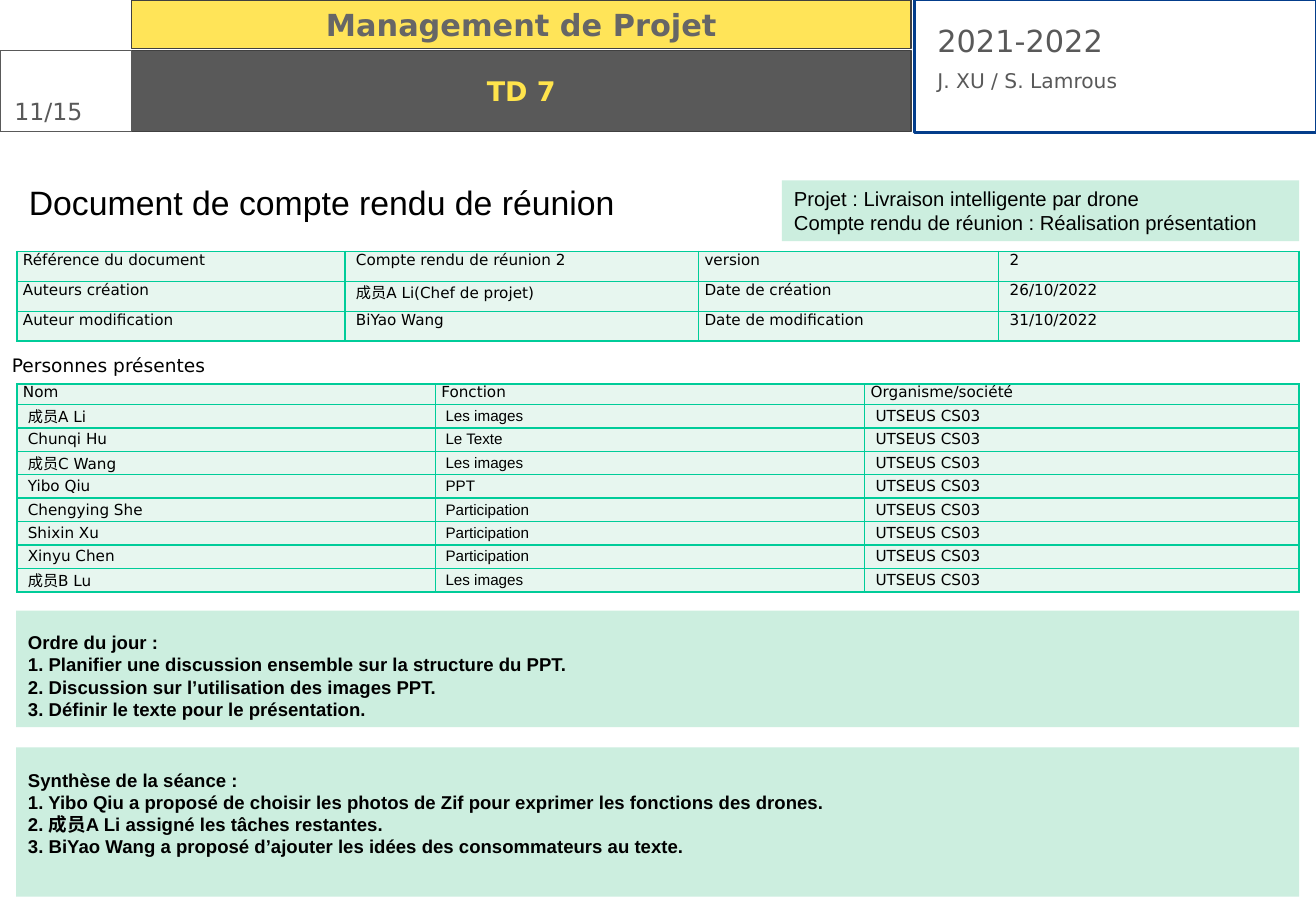
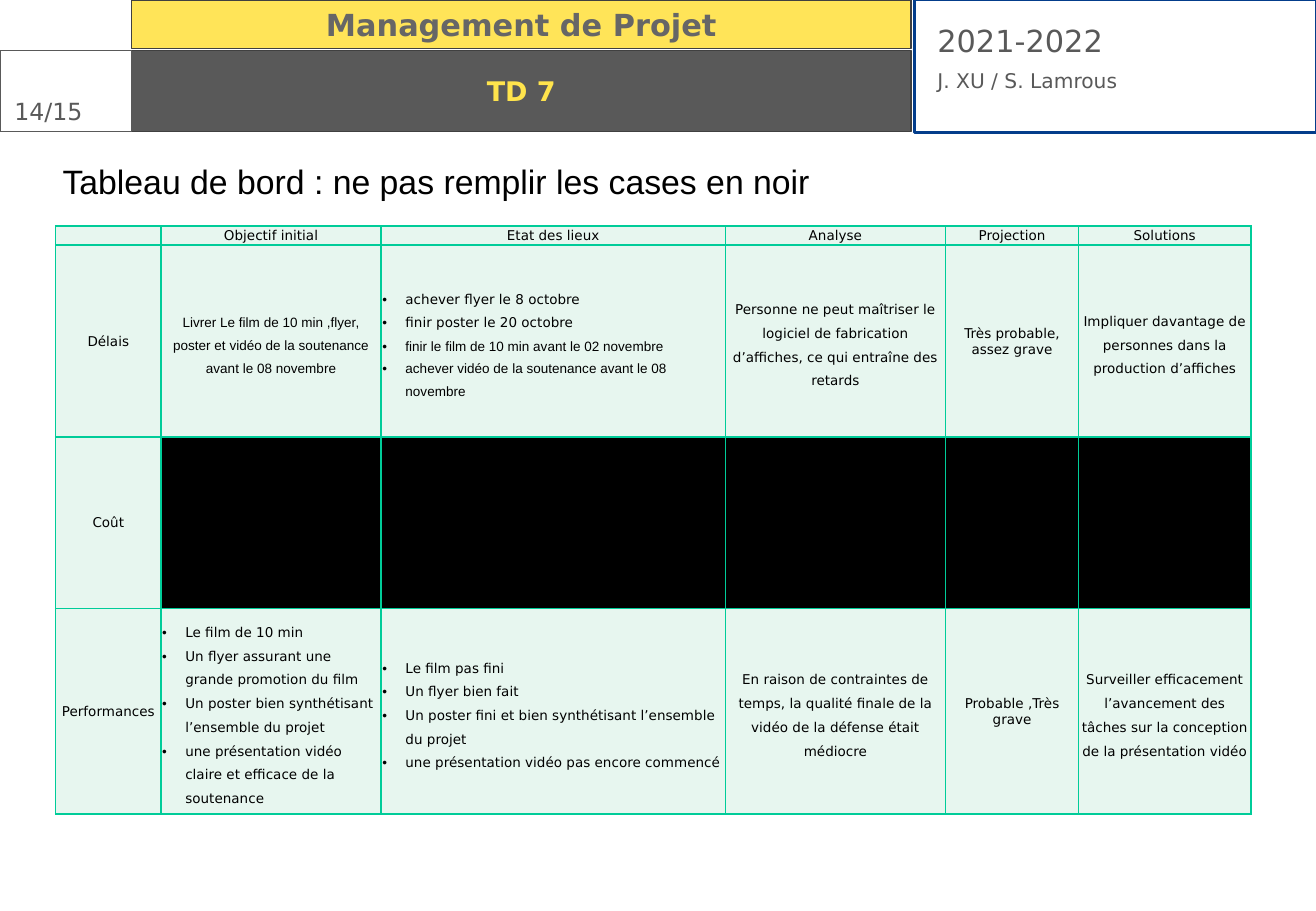
from dataclasses import dataclass

from lxml import etree
from pptx import Presentation
from pptx.dml.color import RGBColor
from pptx.enum import shapes, text
from pptx.oxml import ns
from pptx.util import Pt

COLORS = {
    "ink": "000000", "gray": "595959", "edge": "404040", "heading": "666666",
    "yellow": "FFD912", "title": "FFE44C", "navy": "033D8B",
    "mint": "CCEEDF", "cell": "E7F6EF", "border": "00CC99",
}
ARIAL, DEJAVU = "Arial", "DejaVu Sans"
LEFT, CENTER = text.PP_ALIGN.LEFT, text.PP_ALIGN.CENTER
TOP, MIDDLE = text.MSO_ANCHOR.TOP, text.MSO_ANCHOR.MIDDLE
INSETS = (7.2, 3.6, 7.2, 3.6)


def rgb(name):
    return RGBColor.from_string(COLORS[name])


def child(parent, tag, **attributes):
    return etree.SubElement(parent, ns.qn(tag), attributes)


@dataclass
class Cell:
    """Table cell content; a line is a string or a (string, font) pair."""
    lines: tuple = ()
    font: str = DEJAVU
    align: int = CENTER
    anchor: int = MIDDLE
    spacing: float = 1.0
    after: float = 0
    indent: float = 0
    bullets: bool = False
    fill: str = "cell"


class MeetingDeck:
    """Holds the deck style and the slide being drawn."""

    def __init__(self):
        self.deck = Presentation()
        self.deck.slide_width, self.deck.slide_height = Pt(780), Pt(540)
        self.page = None

    # Text
    def add_span(self, para, words, font, size, color="ink", bold=False):
        span = para.add_run()
        span.text = words
        span.font.name, span.font.size, span.font.bold = font, Pt(size), bold
        span.font.color.rgb = rgb(color)

    def fill_frame(self, frame, lines, font, size, color="ink", bold=False,
                   align=LEFT, anchor=TOP, insets=INSETS, wrap=True):
        frame.word_wrap = wrap
        frame.auto_size = text.MSO_AUTO_SIZE.NONE
        frame.vertical_anchor = anchor
        (frame.margin_left, frame.margin_top,
         frame.margin_right, frame.margin_bottom) = map(Pt, insets)
        for index, words in enumerate(lines):
            para = frame.add_paragraph() if index else frame.paragraphs[0]
            para.alignment = align
            self.add_span(para, words, font, size, color, bold)

    def label(self, at, lines, font, size, **style):
        box = self.page.shapes.add_textbox(*map(Pt, at))
        self.fill_frame(box.text_frame, lines, font, size, **style)
        return box

    # Boxes
    def paint(self, box, fill=None, line=None, width=0.75):
        if fill:
            box.fill.solid()
            box.fill.fore_color.rgb = rgb(fill)
        else:
            box.fill.background()
        if line:
            box.line.color.rgb = rgb(line)
            box.line.width = Pt(width)
        else:
            box.line.fill.background()

    def box(self, at, **paint):
        box = self.page.shapes.add_shape(
            shapes.MSO_SHAPE.RECTANGLE, *map(Pt, at))
        box.shadow.inherit = False
        self.paint(box, **paint)
        return box

    def panel(self, at, lines, size, **style):
        box = self.box(at, fill="mint")
        self.fill_frame(box.text_frame, lines, ARIAL, size, **style)

    # Header band shared by every slide
    def add_page(self, number):
        self.page = self.deck.slides.add_slide(self.deck.slide_layouts[5])
        self.box((542, 0, 238, 78.5), line="navy", width=1.5)
        credit = self.label((548.5, 9.5, 228, 50), ["2021-2022"],
                            DEJAVU, 18, color="gray")
        credit.text_frame.paragraphs[0].space_after = Pt(6)
        self.add_span(credit.text_frame.add_paragraph(), "J. XU / S. Lamrous",
                      DEJAVU, 12, "gray")

        course = self.box((78, 0, 462, 29), fill="yellow", line="edge")
        tint = course._element.spPr.find(
            ns.qn("a:solidFill") + "/" + ns.qn("a:srgbClr"))
        child(tint, "a:alpha", val="70000")
        self.fill_frame(course.text_frame, ["Management de Projet"], DEJAVU,
                        18, "heading", True, CENTER, MIDDLE)

        self.label((0, 54, 78, 24.5), [number], DEJAVU, 14, color="gray",
                   insets=(8.5, 3.6, 0, 3.6))
        self.box((0, 30, 78, 48), line="gray")

        title = self.page.shapes.title
        title.left, title.top, title.width, title.height = map(
            Pt, (78, 30, 462, 48))
        self.paint(title, fill="gray", line="edge")
        self.fill_frame(title.text_frame, ["TD 7"], DEJAVU, 16, "title",
                        True, CENTER, MIDDLE)

    # Tables
    def table(self, left, top, widths, heights, rows, size, insets):
        at = (left, top, sum(widths), sum(heights))
        grid = self.page.shapes.add_table(
            len(heights), len(widths), *map(Pt, at)).table
        grid.first_row = grid.horz_banding = False
        for column, width in zip(grid.columns, widths):
            column.width = Pt(width)
        for row, height in zip(grid.rows, heights):
            row.height = Pt(height)
        for r, row in enumerate(rows):
            for c, content in enumerate(row):
                self.fill_cell(grid.cell(r, c), content, size, insets)

    def fill_cell(self, cell, content, size, insets):
        (cell.margin_left, cell.margin_top,
         cell.margin_right, cell.margin_bottom) = map(Pt, insets)
        cell.margin_left += Pt(content.indent)
        cell.vertical_anchor = content.anchor
        properties = cell._tc.get_or_add_tcPr()
        for side in ("a:lnL", "a:lnR", "a:lnT", "a:lnB"):
            edge = child(properties, side, w=str(Pt(1)))
            child(child(edge, "a:solidFill"), "a:srgbClr",
                  val=COLORS["border"])
        cell.fill.solid()
        cell.fill.fore_color.rgb = rgb(content.fill)

        frame = cell.text_frame
        if not content.lines:
            end = frame.paragraphs[0]._p.get_or_add_endParaRPr()
            end.set("sz", str(size * 100))
        for index, line in enumerate(content.lines):
            words, font = (line if isinstance(line, tuple)
                           else (line, content.font))
            para = frame.add_paragraph() if index else frame.paragraphs[0]
            para.alignment = content.align
            para.line_spacing = content.spacing
            para.space_after = Pt(content.after)
            if content.bullets:
                style = para._p.get_or_add_pPr()
                style.set("marL", str(Pt(13.7)))
                style.set("indent", str(-Pt(13.7)))
                child(style, "a:buFont", typeface=ARIAL)
                child(style, "a:buChar", char="•")
            self.add_span(para, words, font, size)


# Cell kinds
def entry(words, font=DEJAVU, indent=0, anchor=TOP):
    return Cell((words,), font, LEFT, anchor, after=1, indent=indent)


def short(words):
    return Cell((words,))


def prose(*lines, font=DEJAVU):
    return Cell(lines, font, spacing=1.5)


def bullets(*lines):
    return Cell(lines, align=LEFT, spacing=1.5, bullets=True)


def draw_minutes(deck):
    deck.add_page("11/15")
    insets = (3.6, 0, 3.6, 0)

    # Document references
    references = [
        ("Référence du document", "Compte rendu de réunion 2",
         "version", "2"),
        ("Auteurs création", "成员A Li(Chef de projet)",
         "Date de création", "26/10/2022"),
        ("Auteur modification", "BiYao Wang",
         "Date de modification", "31/10/2022"),
    ]
    rows = [[entry(words, indent=2.9 * (c % 2))
             for c, words in enumerate(row)] for row in references]
    deck.table(10, 149, (194.5, 209.5, 178, 178), [17.75] * 3,
               rows, 9, insets)

    # Agenda, project and summary panels
    deck.panel((9.5, 362, 760.5, 69), [
        "Ordre du jour :",
        "1. Planifier une discussion ensemble sur la structure du PPT.",
        "2. Discussion sur l’utilisation des images PPT.",
        "3. Définir le texte pour le présentation.",
    ], 11, bold=True, anchor=MIDDLE, insets=(7.2, 12.2, 7.2, 4.3))
    deck.panel((463.5, 107, 306.5, 36), [
        "Projet : Livraison intelligente par drone",
        "Compte rendu de réunion : Réalisation présentation",
    ], 12)
    deck.panel((9.5, 443, 760.5, 88.5), [
        "Synthèse de la séance :",
        "1. Yibo Qiu a proposé de choisir les photos de Zif pour exprimer "
        "les fonctions des drones.",
        "2. 成员A Li assigné les tâches restantes.",
        "3. BiYao Wang a proposé d’ajouter les idées des consommateurs "
        "au texte.",
    ], 11, bold=True, anchor=MIDDLE, insets=(7.2, 12.2, 7.2, 22.7))

    # Headings
    deck.label((10, 104, 364, 32), ["Document de compte rendu de réunion"],
               ARIAL, 20, wrap=False)
    deck.label((0, 206.5, 130, 21), ["Personnes présentes"],
               DEJAVU, 11, wrap=False)

    # Attendance
    people = [
        ("成员A Li", "Les images"), ("Chunqi Hu", "Le Texte"),
        ("成员C Wang", "Les images"), ("Yibo Qiu", "PPT"),
        ("Chengying She", "Participation"), ("Shixin Xu", "Participation"),
        ("Xinyu Chen", "Participation"), ("成员B Lu", "Les images"),
    ]
    rows = [[entry(words)
             for words in ("Nom", "Fonction", "Organisme/société")]]
    for name, role in people:
        rows.append([entry(name, DEJAVU, 2.9, MIDDLE),
                     entry(role, ARIAL, 2.5, MIDDLE),
                     entry("UTSEUS CS03", DEJAVU, 2.9, MIDDLE)])
    deck.table(10, 227.5, (248, 254.5, 257.5), [12.2] + [13.9] * 8,
               rows, 9, insets)


def draw_dashboard(deck):
    deck.add_page("14/15")
    headers = ("Objectif initial", "Etat des lieux", "Analyse",
               "Projection", "Solutions")
    rows = [
        [Cell()] + [short(words) for words in headers],
        [short("Délais"),
         prose("Livrer Le film de 10 min ,flyer, poster et vidéo de la "
               "soutenance", "avant le 08 novembre", font=ARIAL),
         bullets("achever flyer le 8 octobre",
                 "finir poster le 20 octobre",
                 ("finir le film de 10 min avant le 02 novembre", ARIAL),
                 ("achever vidéo de la soutenance avant le 08 novembre",
                  ARIAL)),
         prose("Personne ne peut maîtriser le logiciel de fabrication "
               "d’affiches, ce qui entraîne des retards"),
         short("Très probable, assez grave"),
         prose("Impliquer davantage de personnes dans la production "
               "d’affiches")],
        [short("Coût")] + [Cell(fill="ink")] * 5,
        [short("Performances"),
         bullets("Le film de 10 min",
                 "Un flyer assurant une grande promotion du film",
                 "Un poster bien synthétisant l’ensemble du projet",
                 "une présentation vidéo claire et efficace de la "
                 "soutenance"),
         bullets("Le film pas fini", "Un flyer bien fait",
                 "Un poster fini et bien synthétisant l’ensemble du projet",
                 "une présentation vidéo pas encore commencé"),
         prose("En raison de contraintes de temps, la qualité finale de la "
               "vidéo de la défense était médiocre"),
         short("Probable ,Très grave"),
         prose("Surveiller efficacement l’avancement des tâches sur la "
               "conception de la présentation vidéo")],
    ]
    deck.table(33, 134, (62.5, 130.5, 204, 130.5, 79, 102),
               (11.3, 113.8, 101.6, 122), rows, 8, (0.7, 0.7, 0.7, 0))
    deck.label((30, 92, 518.5, 32),
               ["Tableau de bord : ne pas remplir les cases en noir"],
               ARIAL, 20)


def main():
    deck = MeetingDeck()
    draw_minutes(deck)
    draw_dashboard(deck)
    deck.deck.save("out.pptx")


if __name__ == "__main__":
    main()
